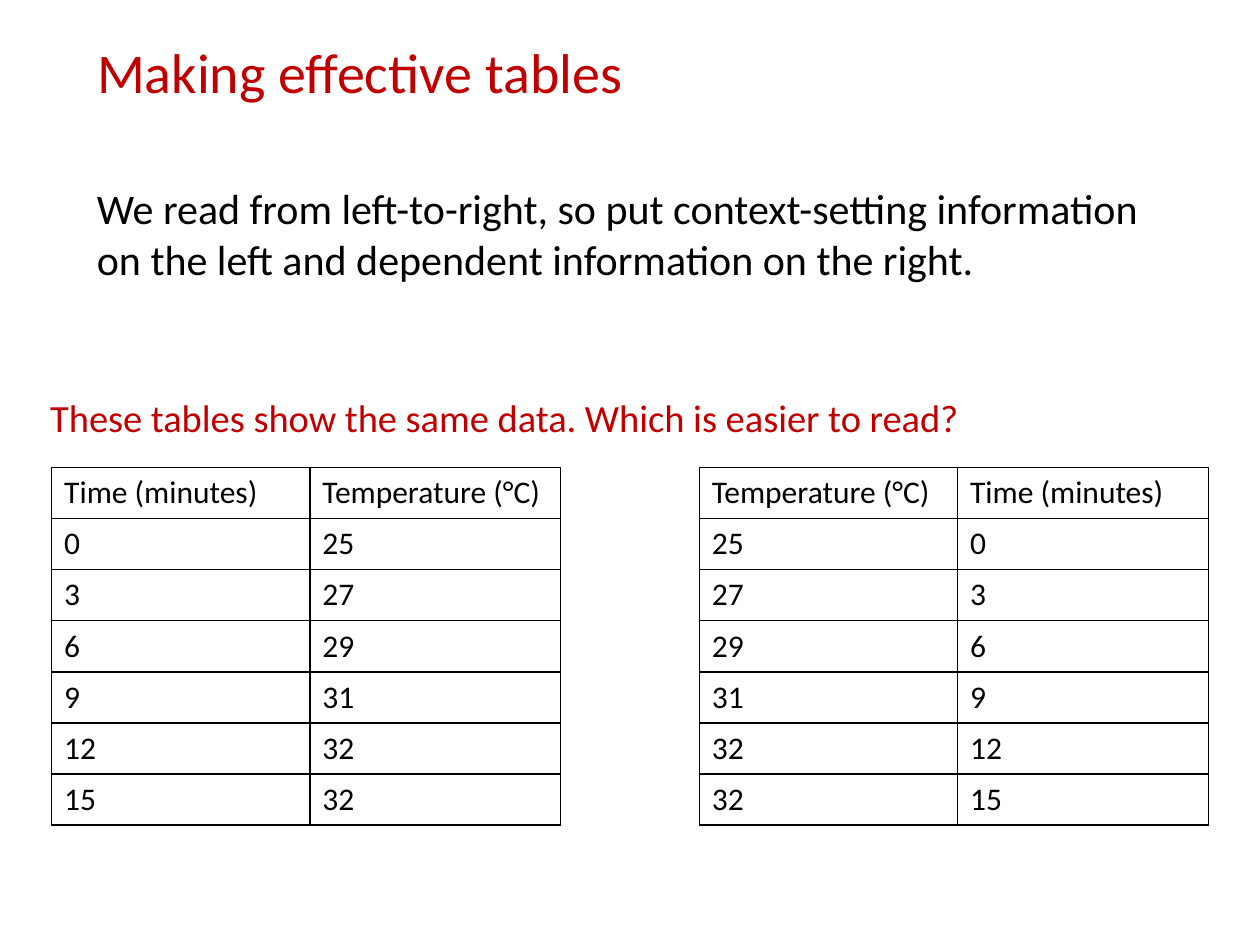
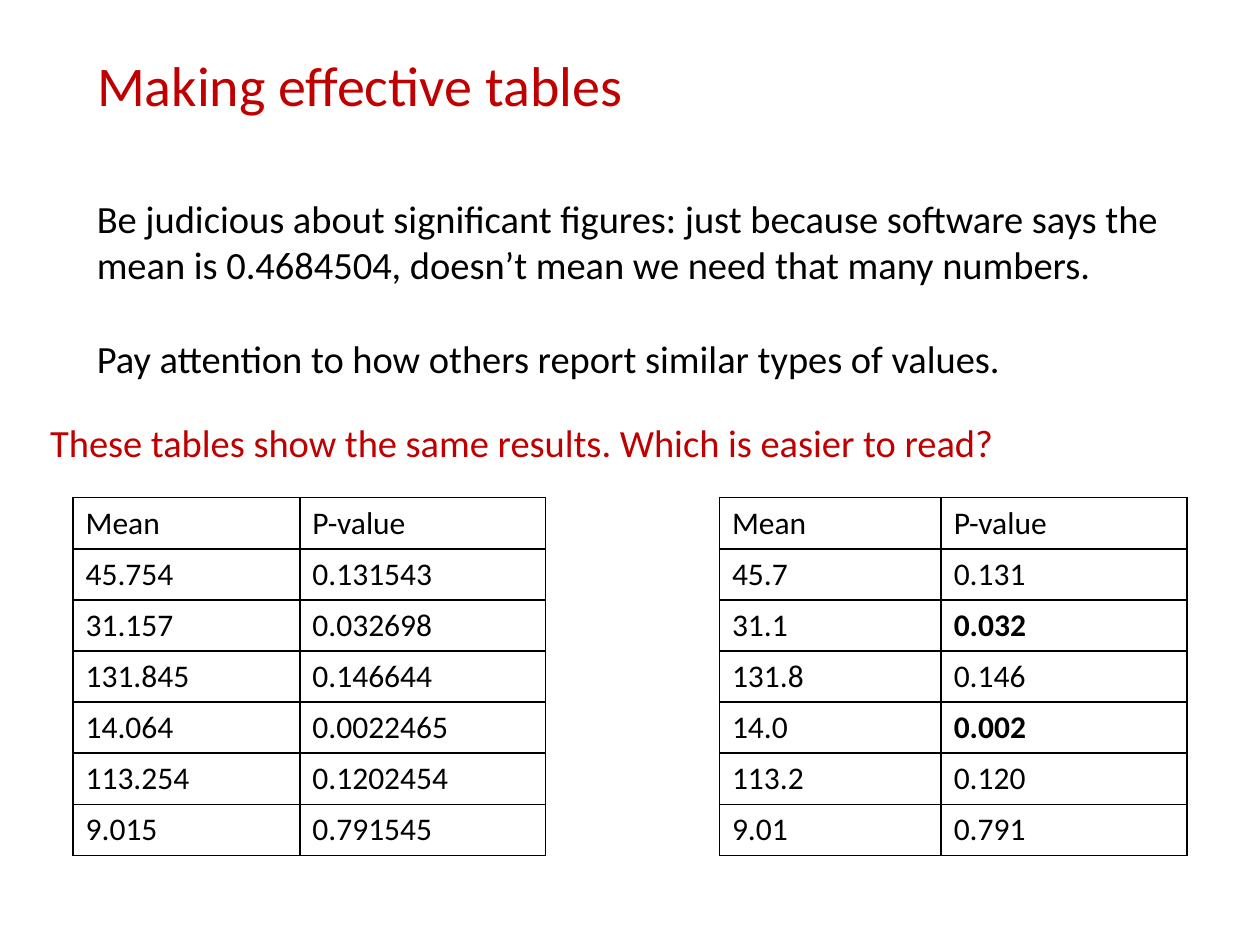
"""Build two slides on making effective tables."""
from pptx import Presentation
from pptx import util as u
from pptx.dml import color
from pptx.enum import text
from pptx.oxml import parse_xml
from pptx.oxml import ns

FONT, RED, BLACK = "Calibri", "C00000", "000000"


def write(frame, paragraphs, size, hex_color):
    """Fill a text frame with left-aligned paragraphs in one style."""
    frame.text = "\n".join(paragraphs)
    frame.word_wrap = True
    frame.vertical_anchor = text.MSO_ANCHOR.TOP
    for para in frame.paragraphs:
        para.alignment = text.PP_ALIGN.LEFT
        for span in para.runs:
            span.font.name = FONT
            span.font.size = u.Pt(size)
            span.font.color.rgb = color.RGBColor.from_string(hex_color)


def add_grid(page, left, top, widths, rows, bold_values):
    """Add an unfilled table with thin black borders."""
    frame = page.shapes.add_table(len(rows), len(widths), u.Inches(left), u.Inches(top),
                                  u.Inches(sum(widths)), u.Inches(2.84))
    table = frame.table
    table.first_row = table.horz_banding = False
    for column, width in zip(table.columns, widths):
        column.width = u.Inches(width)
    for r, row in enumerate(rows):
        for c, value in enumerate(row):
            cell = table.cell(r, c)
            write(cell.text_frame, [value], 18, BLACK)
            cell.text_frame.paragraphs[0].runs[0].font.bold = value in bold_values
            for side in "LRTB":
                cell._tc.get_or_add_tcPr().append(parse_xml(
                    f'<a:ln{side} {ns.nsdecls("a")} w="12700"><a:solidFill>'
                    f'<a:srgbClr val="{BLACK}"/></a:solidFill></a:ln{side}>'))
            cell.fill.background()


time_first = [("Time (minutes)", "Temperature (°C)"), ("0", "25"), ("3", "27"), ("6", "29"),
              ("9", "31"), ("12", "32"), ("15", "32")]
temperature_first = [row[::-1] for row in time_first]
many_digits = [("Mean", "P-value"), ("45.754", "0.131543"), ("31.157", "0.032698"),
               ("131.845", "0.146644"), ("14.064", "0.0022465"),
               ("113.254", "0.1202454"), ("9.015", "0.791545")]
few_digits = [("Mean", "P-value"), ("45.7", "0.131"), ("31.1", "0.032"), ("131.8", "0.146"),
              ("14.0", "0.002"), ("113.2", "0.120"), ("9.01", "0.791")]
significant = {"0.032", "0.002"}

slides = [
    dict(top=0.25, size=24, advice_height=0.91,
         advice=["We read from left-to-right, so put context-setting information on the left "
                 "and dependent information on the right."],
         question="These tables show the same data. Which is easier to read?",
         question_top=3.08, tables_top=3.71,
         tables=[(0.41, (2.05, 1.99), time_first), (5.55, (2.05, 1.99), temperature_first)]),
    dict(top=0.35, size=22, advice_height=1.6,
         advice=["Be judicious about significant figures: just because software says the mean "
                 "is 0.4684504, doesn’t mean we need that many numbers.",
                 "Pay attention to how others report similar types of values."],
         question="These tables show the same results. Which is easier to read?",
         question_top=3.28, tables_top=3.95,
         tables=[(0.58, (1.8, 1.95), many_digits), (5.71, (1.76, 1.95), few_digits)]),
]

deck = Presentation()
deck.slide_width, deck.slide_height = u.Inches(10), u.Inches(7.5)

for content in slides:
    page = deck.slides.add_slide(deck.slide_layouts[5])
    title = page.shapes.title
    title.left, title.top = u.Inches(0.67), u.Inches(content["top"])
    title.width, title.height = u.Inches(8.75), u.Inches(0.64)
    write(title.text_frame, ["Making effective tables"], 32, RED)
    title.text_frame.auto_size = text.MSO_AUTO_SIZE.NONE

    advice = page.shapes.add_textbox(u.Inches(0.67), u.Inches(content["top"] + 1.15),
                                     u.Inches(8.75), u.Inches(content["advice_height"]))
    write(advice.text_frame, content["advice"], content["size"], BLACK)
    for para in advice.text_frame.paragraphs[1:]:
        para.space_before = u.Pt(27)

    question = page.shapes.add_textbox(u.Inches(0.3), u.Inches(content["question_top"]),
                                       u.Inches(8.73), u.Inches(0.47))
    write(question.text_frame, [content["question"]], 22, RED)

    for left, widths, rows in content["tables"]:
        add_grid(page, left, content["tables_top"], widths, rows, significant)

deck.save("out.pptx")
